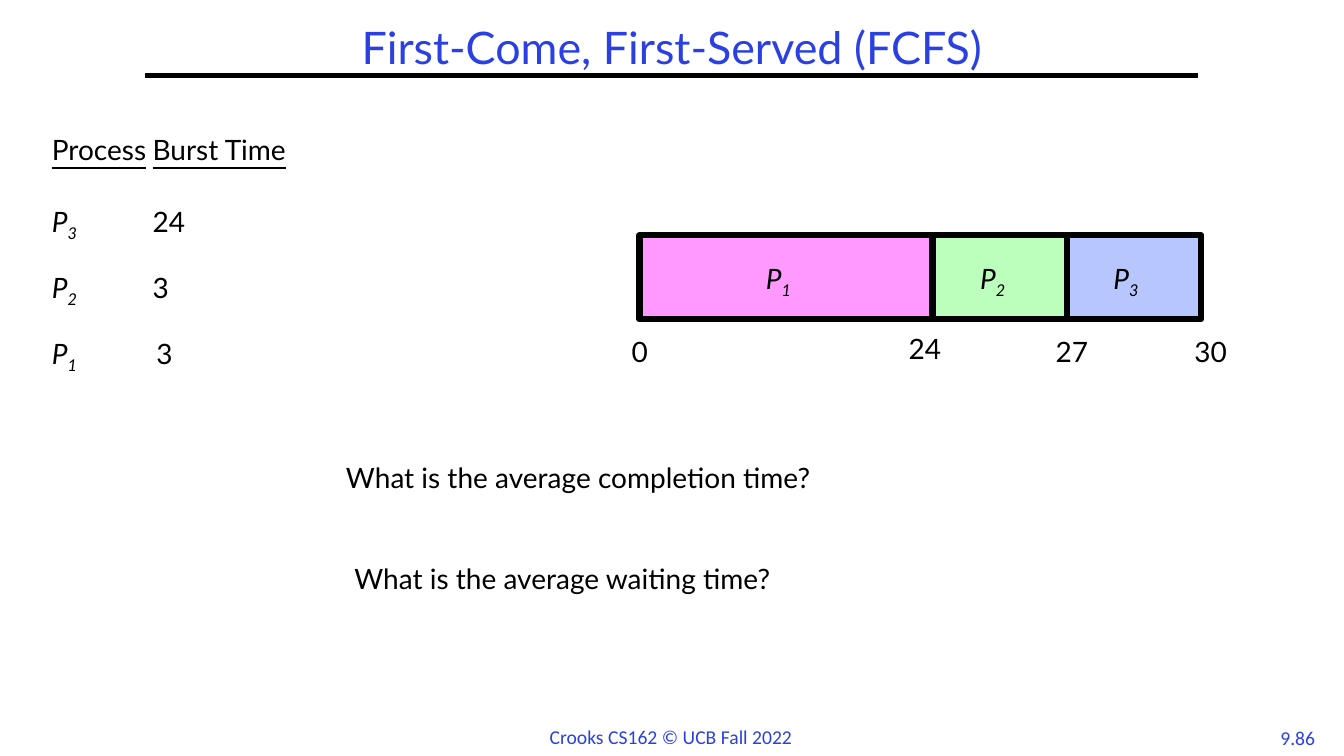
from dataclasses import dataclass
from itertools import pairwise

from pptx import Presentation, util as u
from pptx.dml.color import RGBColor
from pptx.enum import shapes, text
from pptx.oxml.ns import qn
from lxml import etree

PX = 9525  # EMU in one px
LEFT, MID = text.PP_ALIGN.LEFT, text.PP_ALIGN.CENTER


@dataclass(frozen=True)
class Theme:
    ink: str = "000000"
    blue: str = "2A40E2"
    pink: str = "FF99FF"
    green: str = "BCFFBC"
    sky: str = "B7C6FE"
    font: str = "Lato"
    small: str = "Calibri"
    title: int = 32
    body: int = 20
    foot: int = 14
    rule: float = 3
    edge: float = 4.5


class Deck:
    def __init__(self, theme):
        self.theme = theme
        self.prs = Presentation()
        self.prs.slide_width, self.prs.slide_height = 1280 * PX, 720 * PX
        self.slide = self.prs.slides.add_slide(self.prs.slide_layouts[6])

    def runs(self, para, parts, size, font, color):
        """Add (words, marks) parts; marks: u underline, i italic, s subscript."""
        for words, marks in parts:
            run = para.add_run()
            run.text = words
            face = run.font
            face.name, face.size = font, u.Pt(size)
            face.color.rgb = RGBColor.from_string(color)
            if "u" in marks:
                face.underline = True
            if "i" in marks:
                face.italic = True
            if "s" in marks:
                run._r.get_or_add_rPr().set("baseline", "-25000")

    def text(self, box, lines, size=None, font=None, color=None, align=LEFT,
             lead=0.8, gaps=(), tab=None, wrap=True, middle=False):
        """Add a text box; gaps are the points before each line after the first."""
        style = self.theme
        frame = self.slide.shapes.add_textbox(*(n * PX for n in box)).text_frame
        frame.word_wrap = wrap
        if middle:
            frame.vertical_anchor = text.MSO_ANCHOR.MIDDLE
        for k, parts in enumerate(lines):
            para = frame.add_paragraph() if k else frame.paragraphs[0]
            para.alignment, para.line_spacing = align, lead
            if k:
                para.space_before = u.Pt(gaps[k - 1])
            if tab:
                stops = etree.SubElement(para._p.get_or_add_pPr(), qn("a:tabLst"))
                etree.SubElement(stops, qn("a:tab"), pos=str(tab * PX), algn="l")
            self.runs(para, parts, size or style.body, font or style.font,
                      color or style.ink)

    def bar(self, box, fill):
        rect = self.slide.shapes.add_shape(
            shapes.MSO_SHAPE.RECTANGLE, *(n * PX for n in box))
        rect.shadow.inherit = False
        rect.fill.solid()
        rect.fill.fore_color.rgb = RGBColor.from_string(fill)
        rect.line.color.rgb = RGBColor.from_string(self.theme.ink)
        rect.line.width = u.Pt(self.theme.edge)

    def rule(self, left, right, y):
        line = self.slide.shapes.add_connector(
            shapes.MSO_CONNECTOR.STRAIGHT, left * PX, y * PX, right * PX, y * PX)
        line.line.color.rgb = RGBColor.from_string(self.theme.ink)
        line.line.width = u.Pt(self.theme.rule)
        etree.SubElement(line._element.spPr, qn("a:effectLst"))


def name(num):
    return [("P", "i"), (num, "is")]


def main():
    look = Theme()
    deck = Deck(look)

    deck.rule(138, 1141, 72)
    deck.text((0, 24, 1280, 48), [[("First-Come, First-Served (FCFS)", "")]],
              size=look.title, color=look.blue, align=MID, lead=0.9, middle=True)
    foot = dict(size=look.foot, font=look.small, color=look.blue, lead=1, wrap=False)
    deck.text((514, 686, 252, 33), [[("Crooks CS162 © UCB Fall 2022", "")]], **foot)
    deck.text((1208, 687, 56, 32), [[("9.86", "")]], align=MID, **foot)

    deck.text((40, 128, 484, 272), [
        [("Process", "u"), ("\t", ""), ("Burst Time", "u")],
        name("3") + [("\t24", "")],
        name("2") + [("\t3", "")],
        name("1") + [("\t ", "is"), ("3", "")],
    ], gaps=(29.5, 25.5, 25.5), tab=96)

    edges = (609, 888, 1016, 1144)
    fills = (look.pink, look.green, look.sky)
    for (left, right), fill in reversed(list(zip(pairwise(edges), fills))):
        deck.bar((left, 224, right - left, 80), fill)
    for num, left in zip("123", (720, 924, 1051)):
        deck.text((left, 248, 56, 32), [name(num)])
    for time, left, top in (("0", 592, 320), ("24", 856, 317),
                            ("27", 996, 320), ("30", 1128, 320)):
        deck.text((left, top, 67, 32), [[(time, "")]])

    for kind, left, top in (("completion", 320, 440), ("waiting", 328, 536)):
        deck.text((left, top, 704, 40), [[(f"What is the average {kind} time?", "")]])

    deck.prs.save("out.pptx")


if __name__ == "__main__":
    main()
